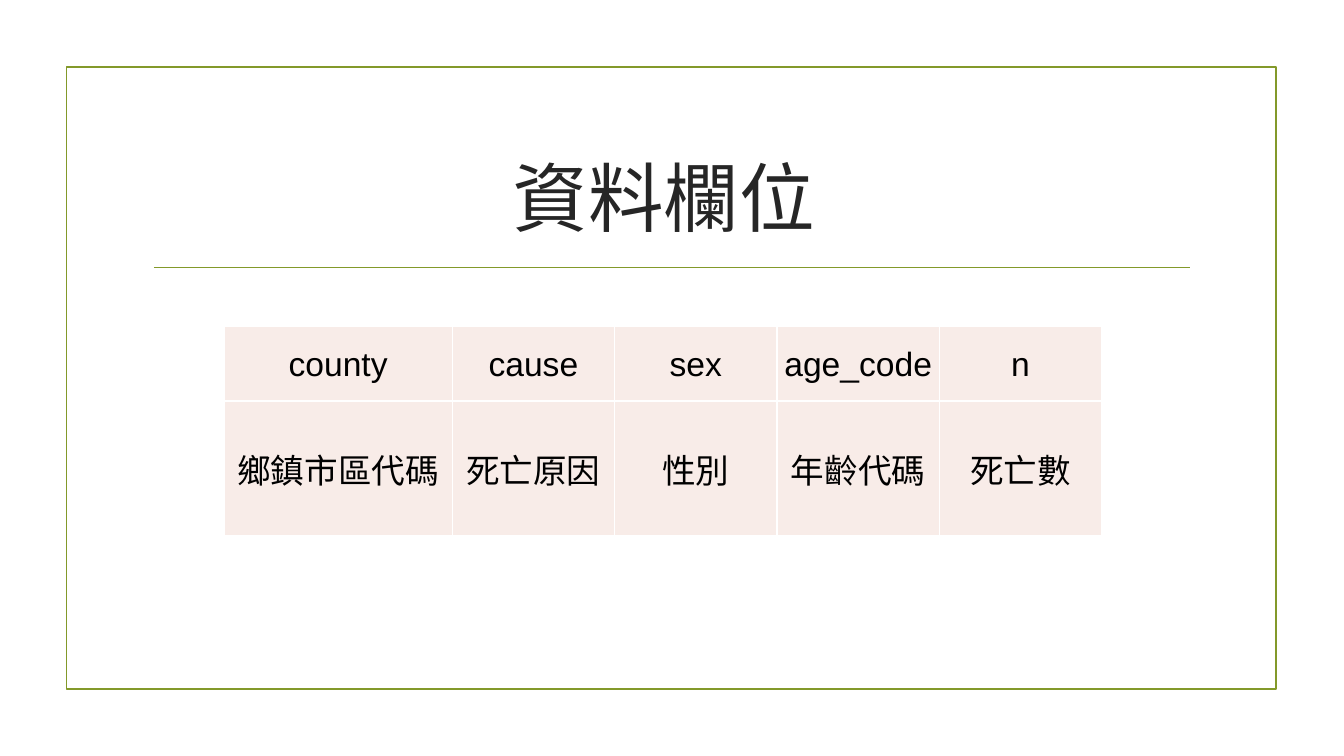
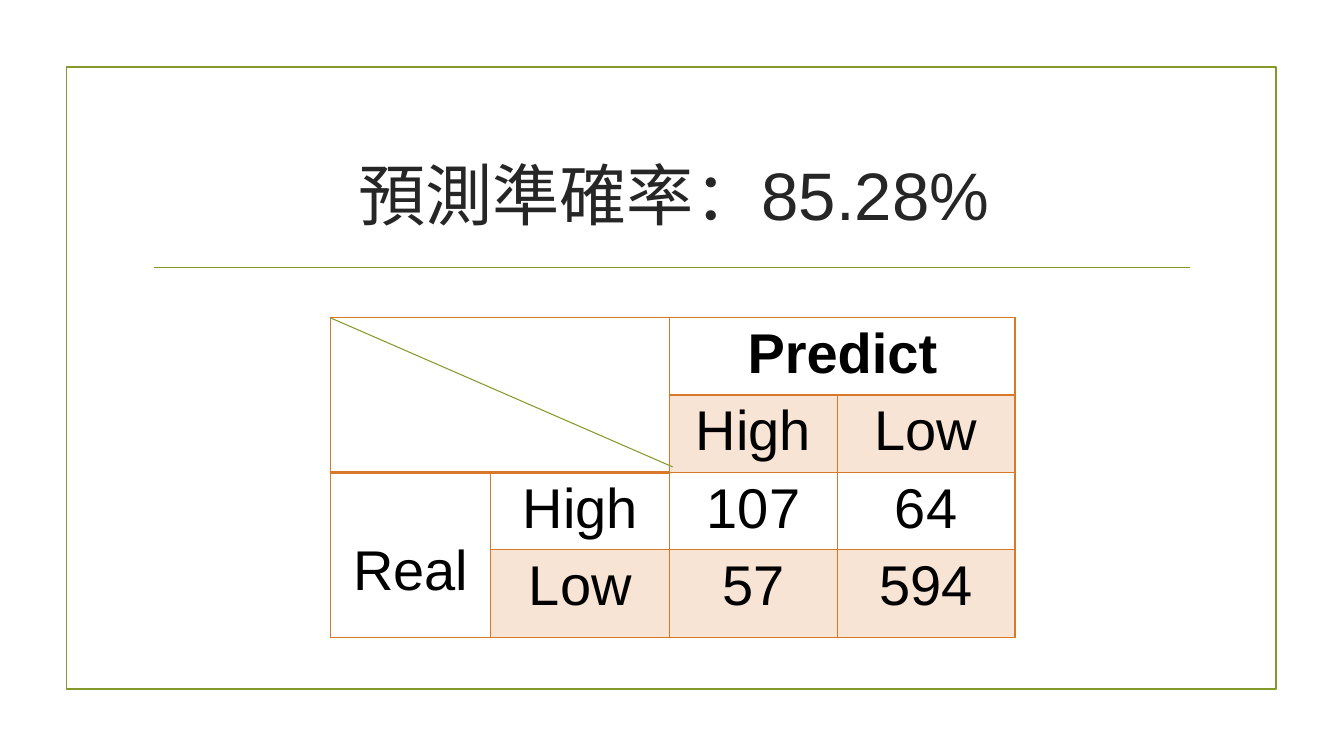
"""Build two slides: the data columns and the prediction accuracy table."""
from lxml.etree import SubElement
from pptx import Presentation
from pptx.dml.color import RGBColor
from pptx.enum.shapes import MSO_CONNECTOR as Connector, MSO_SHAPE as Shape
from pptx.enum.text import MSO_ANCHOR as Anchor, PP_ALIGN as Align
from pptx.oxml.ns import qn
from pptx.util import Pt

GREEN = RGBColor(0x83, 0x99, 0x2A)
ORANGE = RGBColor(0xD9, 0x78, 0x28)
PEACH = RGBColor(0xF7, 0xE4, 0xD4)
ROSE = RGBColor(0xF8, 0xEC, 0xE8)
INK = RGBColor(0x26, 0x26, 0x26)
BLACK = RGBColor(0, 0, 0)
WHITE = RGBColor(0xFF, 0xFF, 0xFF)


def write_text(frame, text, size=24, font="Arial", color=BLACK, bold=False, spacing=None):
    """Write one centred line of text with its format."""
    line = frame.paragraphs[0]
    line.alignment = Align.CENTER
    if spacing:
        line.line_spacing = spacing
    run = line.add_run()
    run.text = text
    run.font.size = Pt(size)
    run.font.name = font
    run.font.bold = bold
    run.font.color.rgb = color


def draw_borders(cell, color, bottom=1):
    """Draw the four cell borders, 1 point wide except the bottom one."""
    properties = cell._tc.get_or_add_tcPr()
    for side, width in (("L", 1), ("R", 1), ("T", 1), ("B", bottom)):
        edge = SubElement(properties, qn(f"a:ln{side}"), w=str(Pt(width)))
        SubElement(SubElement(edge, qn("a:solidFill")), qn("a:srgbClr"), val=str(color))


class Deck:
    """Hold the shared style and the current slide."""

    def __init__(self):
        """Start an empty widescreen presentation."""
        self.show = Presentation()
        self.show.slide_width, self.show.slide_height = Pt(960), Pt(540)
        self.slide = None

    def add_slide(self, title, left, top, width, **style):
        """Add a slide with the frame, the rule and its title."""
        self.slide = self.show.slides.add_slide(self.show.slide_layouts[6])
        border = self.slide.shapes.add_shape(Shape.RECTANGLE, Pt(47.5), Pt(48), Pt(864), Pt(444))
        border.shadow.inherit = False
        border.fill.background()
        border.line.color.rgb = GREEN
        border.line.width = Pt(1.25)
        self.add_line(110, 191, 850, 191, 1.25)
        heading = self.slide.shapes.add_textbox(Pt(left), Pt(top), Pt(width), Pt(103)).text_frame
        heading.word_wrap = True
        heading.vertical_anchor = Anchor.MIDDLE
        write_text(heading, title, color=INK, **style)

    def add_line(self, x1, y1, x2, y2, width):
        """Add a plain green line."""
        line = self.slide.shapes.add_connector(Connector.STRAIGHT, Pt(x1), Pt(y1), Pt(x2), Pt(y2))
        line.line.color.rgb = GREEN
        line.line.width = Pt(width)
        SubElement(line._element.spPr, qn("a:effectLst"))

    def add_table(self, left, top, widths, heights):
        """Add a table without banding and return it."""
        table = self.slide.shapes.add_table(
            len(heights), len(widths), Pt(left), Pt(top), Pt(sum(widths)), Pt(sum(heights))
        ).table
        table.first_row = table.horz_banding = False
        for column, width in zip(table.columns, widths):
            column.width = Pt(width)
        for row, height in zip(table.rows, heights):
            row.height = Pt(height)
        return table

    def fill_cell(self, cell, text, border, fill=None, bottom=1, **style):
        """Give a cell its borders, fill and text."""
        draw_borders(cell, border, bottom)
        if fill:
            cell.fill.solid()
            cell.fill.fore_color.rgb = fill
        else:
            cell.fill.background()
        if text:
            write_text(cell.text_frame, text, **style)


def add_columns_slide(deck):
    """Show the data columns and their meaning."""
    deck.add_slide("資料欄位", 322, 89, 304.5, size=54, font="Times New Roman")
    fields = [
        ["county", "cause", "sex", "age_code", "n"],
        ["鄉鎮市區代碼", "死亡原因", "性別", "年齡代碼", "死亡數"],
    ]
    table = deck.add_table(160, 233.5, [163] + [116] * 4, [53, 96])
    for r, labels in enumerate(fields):
        for c, label in enumerate(labels):
            cell = table.cell(r, c)
            cell.vertical_anchor = Anchor.MIDDLE
            cell.margin_left = cell.margin_right = cell.margin_top = Pt(0.7)
            cell.margin_bottom = Pt(0)
            deck.fill_cell(cell, label, WHITE, ROSE)


def add_accuracy_slide(deck):
    """Show the confusion matrix with its split corner."""
    deck.add_slide("預測準確率：85.28%", 221, 87, 520.5, size=48)
    matrix = [
        ["", "", "Predict", ""],
        ["", "", "High", "Low"],
        ["Real", "High", "107", "64"],
        ["", "Low", "57", "594"],
    ]
    left, top, widths, heights = 236, 227, [114.5, 128, 119.5, 127], [54, 47, 54, 63]
    table = deck.add_table(left, top, widths, heights)
    for first, last in (((0, 0), (1, 1)), ((0, 2), (0, 3)), ((2, 0), (3, 0))):
        table.cell(*first).merge(table.cell(*last))
    for r, values in enumerate(matrix):
        for c, value in enumerate(values):
            under_header = r == 0 or (r == 1 and c < 2)
            deck.fill_cell(
                table.cell(r, c), value, ORANGE,
                fill=PEACH if r % 2 and value else None,
                bottom=2 if under_header else 1,
                size=40,
                bold=value == "Predict",
                spacing=2 if value == "Real" else None,
            )
    deck.add_line(left, top, left + sum(widths[:2]) + 2, top + 106.5, 0.75)


def main():
    """Build both slides and save them."""
    deck = Deck()
    add_columns_slide(deck)
    add_accuracy_slide(deck)
    deck.show.save("out.pptx")


if __name__ == "__main__":
    main()
